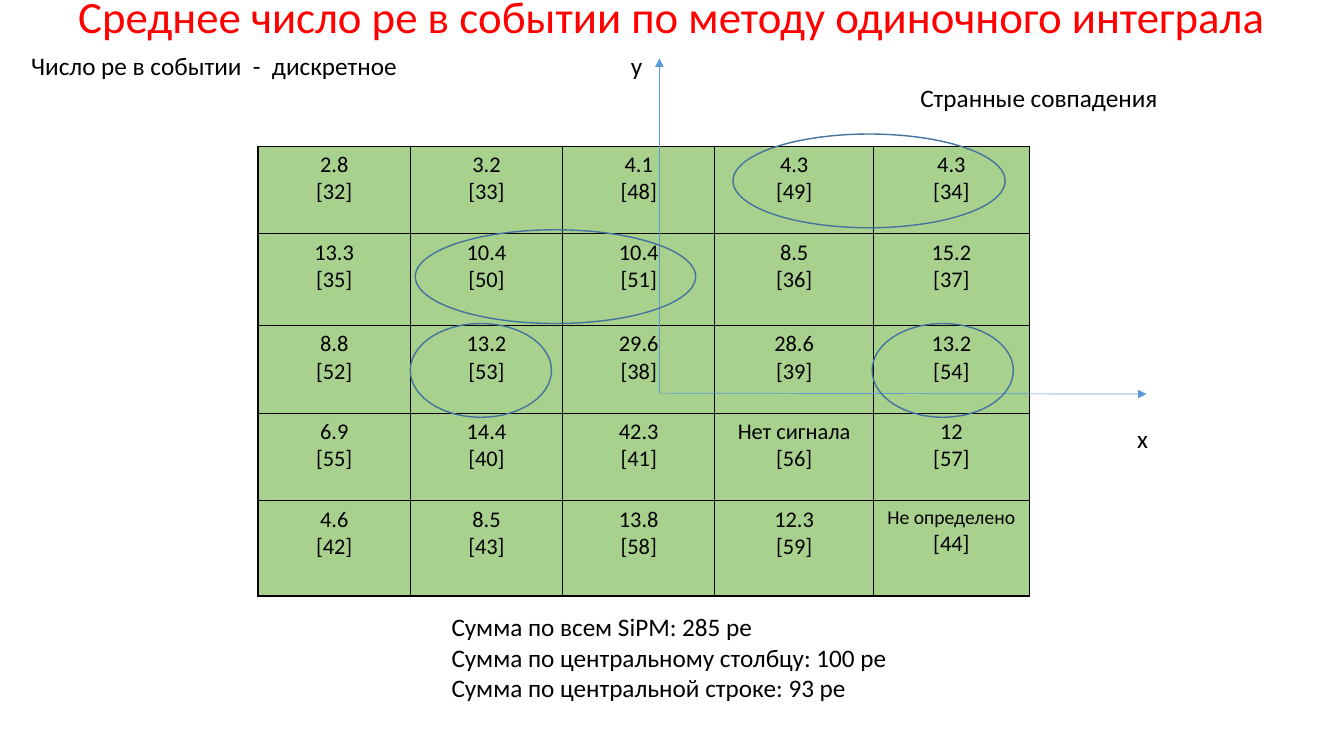
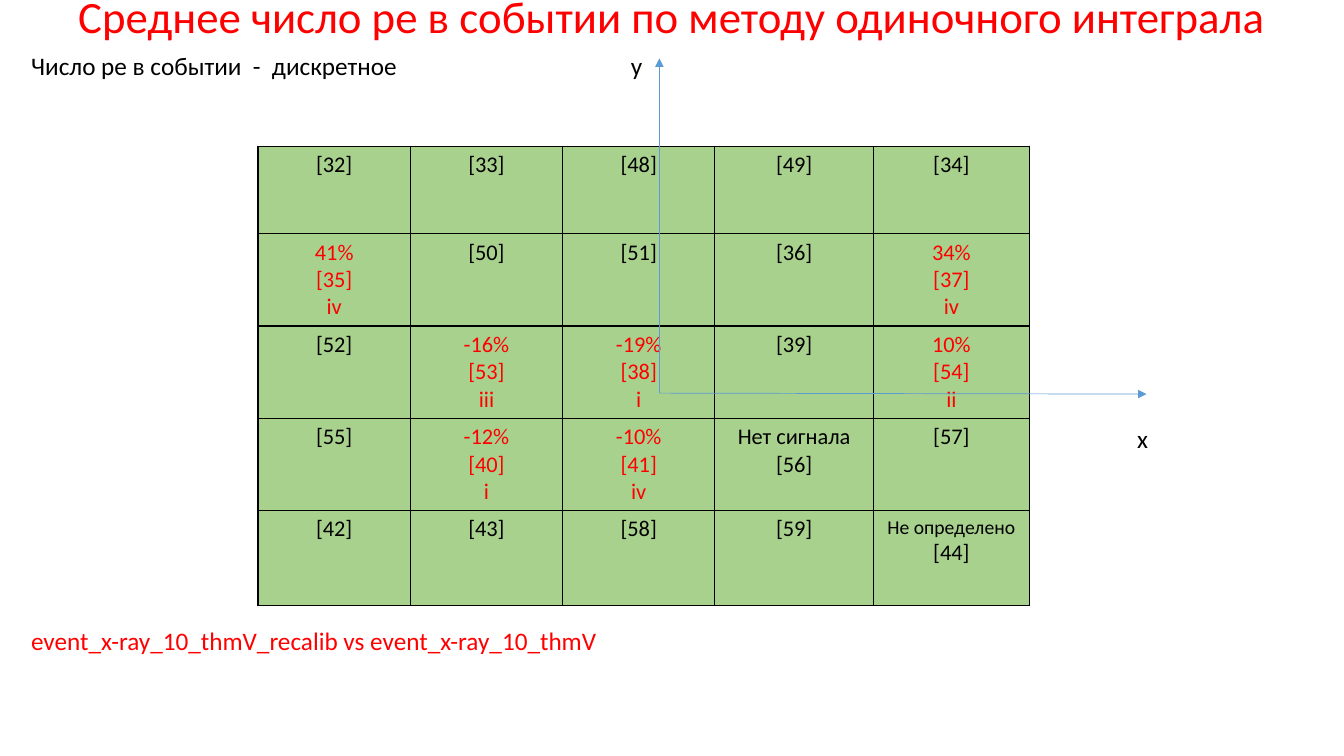
from typing import NamedTuple, Optional

from lxml.etree import SubElement
from pptx import Presentation
from pptx.dml.color import RGBColor
from pptx.enum.shapes import MSO_CONNECTOR as Connector, MSO_SHAPE as Shape
from pptx.enum.text import MSO_ANCHOR as Anchor, MSO_AUTO_SIZE as AutoSize, PP_ALIGN as Align
from pptx.oxml import parse_xml
from pptx.oxml.ns import nsdecls, qn
from pptx.util import Inches, Pt

SLIDE_W, SLIDE_H = Inches(13.33), Inches(7.5)
FONT = "Calibri"
COLORS = {
    "ink": "000000",
    "accent": "FF0000",
    "cell": "A9D18E",
    "axis": "5B9BD5",
    "ring": "43739E",
}
TITLE = "Среднее число pe в событии по методу одиночного интеграла"


class Area(NamedTuple):
    """A box in percent of the slide's width and height."""
    left: float
    top: float
    width: float
    height: float


class Label(NamedTuple):
    lines: list[str]
    area: Area
    color: str = "ink"
    wrap: bool = True


class Axis(NamedTuple):
    end_x: float
    end_y: float


LINE_H = 5.33
RING_H = 12.4
ORIGIN = (49.06, 52)
AXES = [Axis(85.3, 52.13), Axis(49.06, 7.73)]
SHARED_LABELS = [
    Label(["x"], Area(83.87, 55.33, 2.4, LINE_H)),
    Label(["y"], Area(46.2, 6, 2.4, LINE_H)),
    Label(["Число pe в событии  -  дискретное"], Area(1.58, 6, 35.93, LINE_H)),
]

# Detector grid: channel numbers, column widths and row heights
GRID_LEFT, GRID_TOP = 19.2, 19.33
COLUMNS = [11.33, 11.33, 11.33, 11.8, 11.6]
ROWS = [11.6, 12.13, 11.6, 11.6, 12.6]
CHANNELS = [
    [32, 33, 48, 49, 34],
    [35, 50, 51, 36, 37],
    [52, 53, 38, 39, 54],
    [55, 40, 41, 56, 57],
    [42, 43, 58, 59, 44],
]
NO_SIGNAL, UNDEFINED = "Нет сигнала", "Не определено"
FAULTS = {56: NO_SIGNAL, 44: UNDEFINED}


class Reading(NamedTuple):
    value: str
    mark: Optional[str] = None


class Page(NamedTuple):
    readings: dict[int, Reading]
    labels: list[Label]
    rings: list[Area]


# Mean counts in the order of the grid; faulty channels have none
MEANS = [
    ["2.8", "3.2", "4.1", "4.3", "4.3"],
    ["13.3", "10.4", "10.4", "8.5", "15.2"],
    ["8.8", "13.2", "29.6", "28.6", "13.2"],
    ["6.9", "14.4", "42.3", NO_SIGNAL, "12"],
    ["4.6", "8.5", "13.8", "12.3", UNDEFINED],
]
MEAN_READINGS = {
    channel: Reading(mean)
    for channel_row, mean_row in zip(CHANNELS, MEANS)
    for channel, mean in zip(channel_row, mean_row)
}
CHANGES = {
    35: Reading("41%", "iv"),
    37: Reading("34%", "iv"),
    53: Reading("-16%", "iii"),
    38: Reading("-19%", "i"),
    54: Reading("10%", "ii"),
    40: Reading("-12%", "i"),
    41: Reading("-10%", "iv"),
}
FAULT_READINGS = {channel: Reading(fault) for channel, fault in FAULTS.items()}

PAGES = [
    Page(
        MEAN_READINGS,
        [
            Label(["Сумма по всем SiPM: 285 pe",
                   "Сумма по центральному столбцу: 100 pe",
                   "Сумма по центральной строке: 93 pe"],
                  Area(32.86, 80.27, 40.89, 13.47)),
            Label(["Странные совпадения"], Area(67.74, 10.27, 23.03, LINE_H)),
        ],
        [
            Area(54.54, 17.73, 20.25, RING_H),
            Area(30.53, 42.8, 10.5, RING_H),
            Area(64.89, 42.8, 10.5, RING_H),
            Area(30.9, 30.4, 20.86, RING_H),
        ],
    ),
    Page(
        CHANGES | FAULT_READINGS,
        [Label(["event_x-ray_10_thmV_recalib vs event_x-ray_10_thmV"],
               Area(1.58, 82, 44.19, LINE_H), color="accent", wrap=False)],
        [],
    ),
]


def across(share: float) -> int:
    return round(SLIDE_W * share / 100)


def down(share: float) -> int:
    return round(SLIDE_H * share / 100)


def place(area: Area) -> tuple[int, int, int, int]:
    return across(area.left), down(area.top), across(area.width), down(area.height)


def rgb(name: str) -> RGBColor:
    return RGBColor.from_string(COLORS[name])


def write(frame, lines: list[str], *, size: float = 18, color: str = "ink",
          align: Align = Align.LEFT, spacing: Optional[float] = None) -> None:
    for index, line in enumerate(lines):
        paragraph = frame.paragraphs[0] if index == 0 else frame.add_paragraph()
        paragraph.alignment = align
        if spacing:
            paragraph.line_spacing = spacing
        run = paragraph.add_run()
        run.text = line
        run.font.name = FONT
        run.font.size = Pt(14 if line == UNDEFINED else size)
        run.font.color.rgb = rgb(color)


def border_cell(cell) -> None:
    properties = cell._tc.get_or_add_tcPr()
    for index, side in enumerate(("lnL", "lnR", "lnT", "lnB")):
        properties.insert(index, parse_xml(
            f'<a:{side} {nsdecls("a")} w="{Pt(1)}"><a:solidFill>'
            f'<a:srgbClr val="{COLORS["ink"]}"/></a:solidFill></a:{side}>'))


def draw_title(slide) -> None:
    title = slide.shapes.title
    title.left, title.top, title.width, title.height = place(Area(0, 0, 100, 11.47))
    frame = title.text_frame
    frame.word_wrap = True
    frame.auto_size = AutoSize.NONE
    frame.vertical_anchor = Anchor.MIDDLE
    frame.margin_top, frame.margin_bottom = 0, Inches(0.49)
    write(frame, [TITLE], size=32, color="accent", align=Align.CENTER, spacing=0.9)


def draw_grid(slide, readings: dict[int, Reading]) -> None:
    area = Area(GRID_LEFT, GRID_TOP, sum(COLUMNS), sum(ROWS))
    grid = slide.shapes.add_table(len(ROWS), len(COLUMNS), *place(area)).table
    for column, width in zip(grid.columns, COLUMNS):
        column.width = across(width)
    for row, height in zip(grid.rows, ROWS):
        row.height = down(height)
    for row_index, channel_row in enumerate(CHANNELS):
        for column_index, channel in enumerate(channel_row):
            cell = grid.cell(row_index, column_index)
            cell.fill.solid()
            cell.fill.fore_color.rgb = rgb("cell")
            border_cell(cell)
            reading = readings.get(channel)
            lines = [f"[{channel}]"]
            if reading:
                lines.insert(0, reading.value)
            marked = bool(reading and reading.mark)
            if marked:
                lines.append(reading.mark)
            write(cell.text_frame, lines, size=16, align=Align.CENTER,
                  color="accent" if marked else "ink")


def draw_axis(slide, axis: Axis) -> None:
    arrow = slide.shapes.add_connector(
        Connector.STRAIGHT, across(ORIGIN[0]), down(ORIGIN[1]),
        across(axis.end_x), down(axis.end_y))
    arrow.line.color.rgb = rgb("axis")
    arrow.line.width = Pt(0.5)
    SubElement(arrow.line._get_or_add_ln(), qn("a:tailEnd"), type="triangle")
    SubElement(arrow._element.spPr, qn("a:effectLst"))


def draw_label(slide, label: Label) -> None:
    frame = slide.shapes.add_textbox(*place(label.area)).text_frame
    frame.word_wrap = label.wrap
    frame.auto_size = AutoSize.SHAPE_TO_FIT_TEXT
    write(frame, label.lines, color=label.color)


def draw_ring(slide, area: Area) -> None:
    ring = slide.shapes.add_shape(Shape.OVAL, *place(area))
    ring.shadow.inherit = False
    ring.fill.background()
    ring.line.color.rgb = rgb("ring")
    ring.line.width = Pt(1)


def draw_page(deck, page: Page) -> None:
    slide = deck.slides.add_slide(deck.slide_layouts.get_by_name("Title Only"))
    draw_title(slide)
    draw_grid(slide, page.readings)
    for axis in AXES:
        draw_axis(slide, axis)
    for label in SHARED_LABELS + page.labels:
        draw_label(slide, label)
    for ring in page.rings:
        draw_ring(slide, ring)


def main() -> None:
    deck = Presentation()
    deck.slide_width, deck.slide_height = SLIDE_W, SLIDE_H
    for page in PAGES:
        draw_page(deck, page)
    deck.save("out.pptx")


if __name__ == "__main__":
    main()
